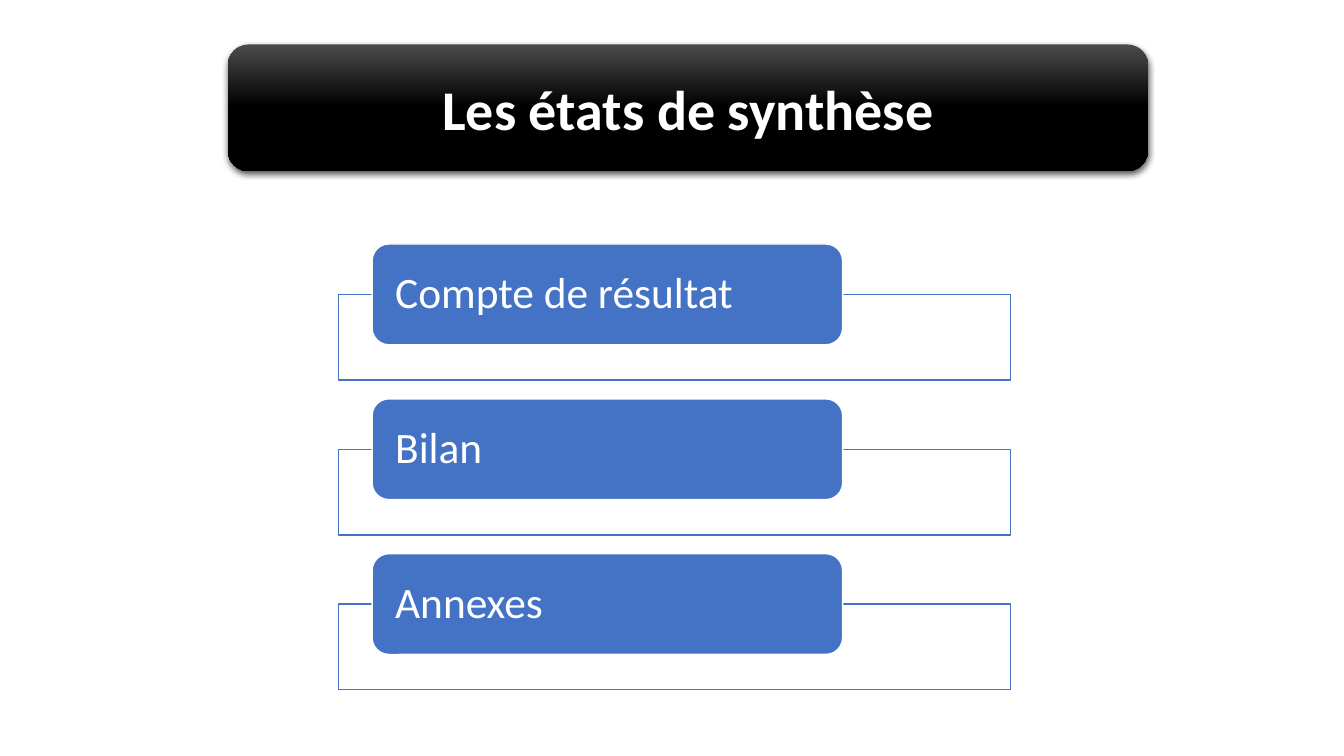
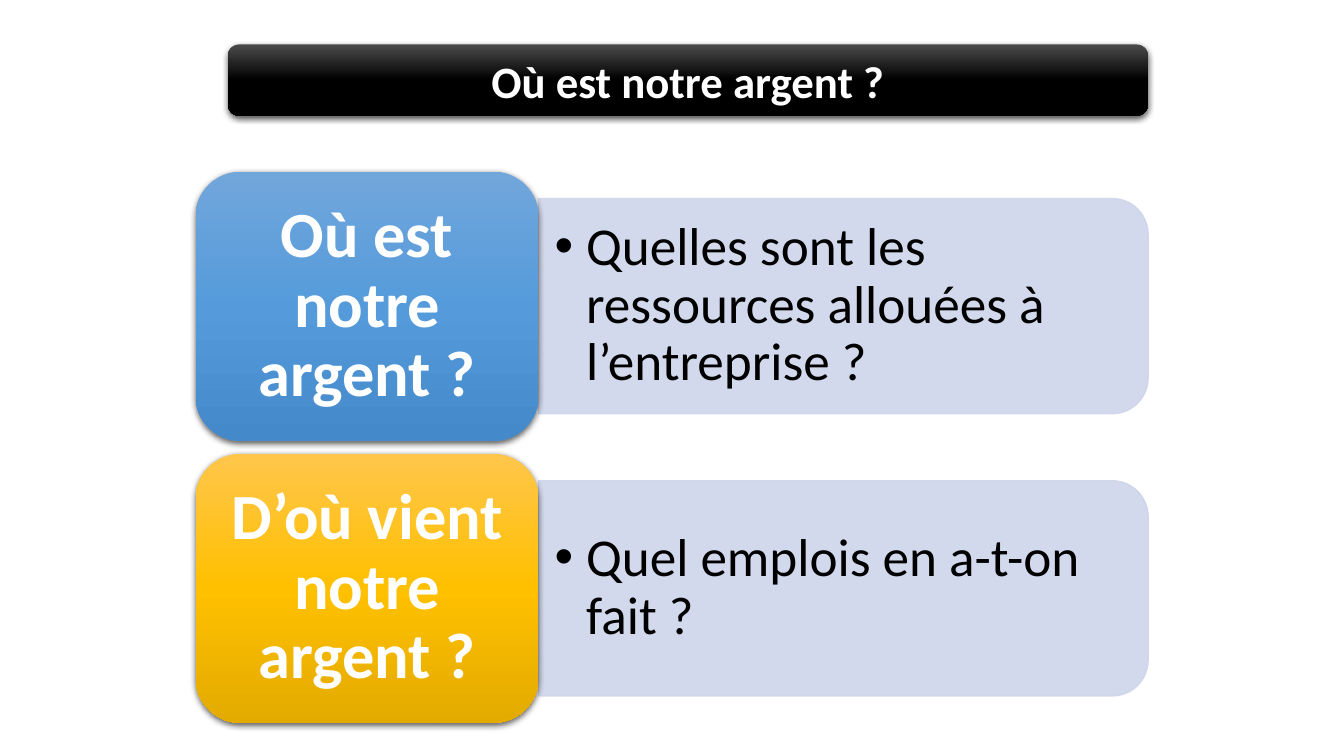
from lxml.etree import SubElement
from pptx import Presentation
from pptx.dml.color import RGBColor
from pptx.enum.shapes import MSO_SHAPE as Preset
from pptx.enum.text import MSO_ANCHOR as Anchor, MSO_AUTO_SIZE as AutoSize, PP_ALIGN as Align
from pptx.oxml.ns import qn
from pptx.util import Pt

FONT = "Calibri"
WHITE, BLACK, BLUE, LAVENDER = "FFFFFF", "000000", "4472C4", "CFD5EA"
BANNER_STOPS = ("4B4B4B", "000000", "000000")
BLUE_STOPS = ("71A6DB", "559BDB", "448ACA")
GOLD_STOPS = ("FFC64B", "FFC000", "E3AB00")
BANNER_LEFT, BANNER_TOP, BANNER_WIDTH = 162.7, 31.7, 657.4
TITLE_ONLY, TWO_CONTENT = 5, 3


def paint(color_format, color):
    color_format.rgb = RGBColor.from_string(color)


def add_block(slide, preset, left, top, width, height, fill=None, line=None):
    block = slide.shapes.add_shape(preset, Pt(left), Pt(top), Pt(width), Pt(height))
    block.shadow.inherit = False
    if fill:
        block.fill.solid()
        paint(block.fill.fore_color, fill)
    if line:
        block.line.width = Pt(1)
        paint(block.line.color, line)
    else:
        block.line.fill.background()
    return block


def add_glossy_block(slide, left, top, width, height, stops):
    block = add_block(slide, Preset.ROUNDED_RECTANGLE, left, top, width, height)
    block.fill.gradient()
    block.fill.gradient_angle = 270
    properties = block._element.spPr
    stop_list = properties.find(".//" + qn("a:gsLst"))
    for old_stop in list(stop_list):
        stop_list.remove(old_stop)
    for position, color in zip((0, 50000, 100000), stops):
        stop = SubElement(stop_list, qn("a:gs"), pos=str(position))
        SubElement(stop, qn("a:srgbClr"), val=color)
    shadow = SubElement(properties.find(qn("a:effectLst")), qn("a:outerShdw"),
                        blurRad=str(Pt(4.5)), dist=str(Pt(1.5)), dir="5400000",
                        algn="ctr", rotWithShape="0")
    shadow_color = SubElement(shadow, qn("a:srgbClr"), val=BLACK)
    SubElement(shadow_color, qn("a:alpha"), val="63000")
    return block


def make_translucent(block, percent):
    for color in list(block._element.spPr.iter(qn("a:srgbClr"))):
        SubElement(color, qn("a:alpha"), val=str(percent * 1000))


def write(holder, text, size, color, align, bold=False, spacing=0.9, margins=(7.2, 3.6)):
    frame = holder.text_frame
    frame.text = text
    frame.word_wrap = True
    frame.auto_size = AutoSize.NONE
    frame.vertical_anchor = Anchor.MIDDLE
    frame.margin_left = frame.margin_right = Pt(margins[0])
    frame.margin_top = frame.margin_bottom = Pt(margins[1])
    paragraph = frame.paragraphs[0]
    paragraph.alignment = align
    paragraph.line_spacing = spacing
    paragraph.space_before = Pt(0)
    font = paragraph.runs[0].font
    font.name, font.size, font.bold = FONT, Pt(size), bold
    paint(font.color, color)
    return paragraph


def place_in_front(slide, placeholder, left, top, width, height):
    placeholder.left, placeholder.top = Pt(left), Pt(top)
    placeholder.width, placeholder.height = Pt(width), Pt(height)
    slide.shapes._spTree.append(placeholder._element)


def add_banner(slide, text, height, size):
    box = BANNER_LEFT, BANNER_TOP, BANNER_WIDTH, height
    add_glossy_block(slide, *box, BANNER_STOPS)
    place_in_front(slide, slide.shapes.title, *box)
    write(slide.shapes.title, text, size, WHITE, Align.CENTER, bold=True, spacing=1.0)


def add_statement_row(slide, statement, left, top, width):
    label_height = 72
    add_block(slide, Preset.RECTANGLE, left, top + label_height / 2, width, 61.2, WHITE, BLUE)
    label = add_block(slide, Preset.ROUNDED_RECTANGLE, left + 0.05 * width, top,
                      0.7 * width, label_height, BLUE, WHITE)
    write(label, statement, 31, WHITE, Align.LEFT, margins=(13, 0))


def add_question_row(slide, question, answer, answer_holder, stops, left, top, width, height):
    tile_width = 0.36 * width
    panel_width, panel_height = width - tile_width, 0.8 * height
    panel_left, panel_top = left + tile_width, top + 0.1 * height
    panel = add_block(slide, Preset.ROUND_2_SAME_RECTANGLE,
                      panel_left + (panel_width - panel_height) / 2,
                      panel_top + (panel_height - panel_width) / 2,
                      panel_height, panel_width, LAVENDER, LAVENDER)
    panel.rotation = 90
    make_translucent(panel, 90)
    place_in_front(slide, answer_holder, panel_left, panel_top, panel_width - 8, panel_height)
    bullet = write(answer_holder, answer, 38, BLACK, Align.LEFT, margins=(11.5, 6))
    indents = bullet._p.get_or_add_pPr()
    indents.set("marL", str(Pt(22.5)))
    indents.set("indent", str(-Pt(22.5)))
    SubElement(indents, qn("a:buChar"), char="•")
    tile = add_glossy_block(slide, left, top, tile_width, height, stops)
    write(tile, question, 46, WHITE, Align.CENTER, bold=True, margins=(13.7, 7))


def build_statements_slide(deck):
    slide = deck.slides.add_slide(deck.slide_layouts[TITLE_ONLY])
    add_banner(slide, "Les états de synthèse", 90.7, 40)
    for row, statement in enumerate(("Compte de résultat", "Bilan", "Annexes")):
        add_statement_row(slide, statement, 241.8, 174.3 + 110.6 * row, 480.2)


def build_money_slide(deck):
    slide = deck.slides.add_slide(deck.slide_layouts[TWO_CONTENT])
    add_banner(slide, "Où est notre argent ?", 51.1, 32)
    questions = (
        ("Où est notre argent ?", "Quelles sont les ressources allouées à l’entreprise ?", BLUE_STOPS),
        ("D’où vient notre argent ?", "Quel emplois en a-t-on fait ?", GOLD_STOPS),
    )
    answer_holders = [slide.placeholders[1], slide.placeholders[2]]
    for row, (question, answer, stops) in enumerate(questions):
        add_question_row(slide, question, answer, answer_holders[row], stops,
                         139.7, 122.6 + 201.6 * row, 680.4, 192.2)


def main():
    deck = Presentation()
    deck.slide_width, deck.slide_height = Pt(960), Pt(540)
    build_statements_slide(deck)
    build_money_slide(deck)
    deck.save("out.pptx")


if __name__ == "__main__":
    main()
